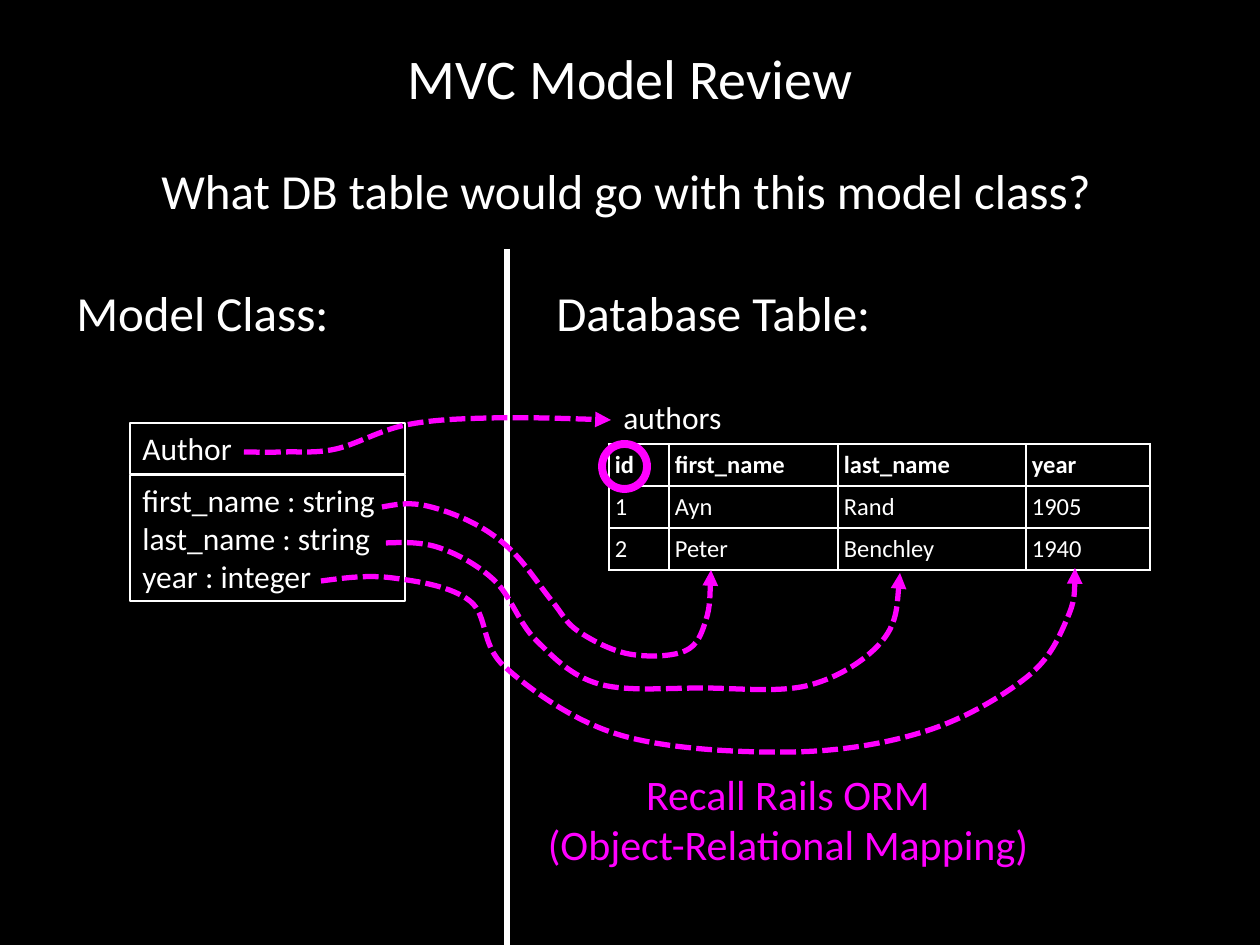
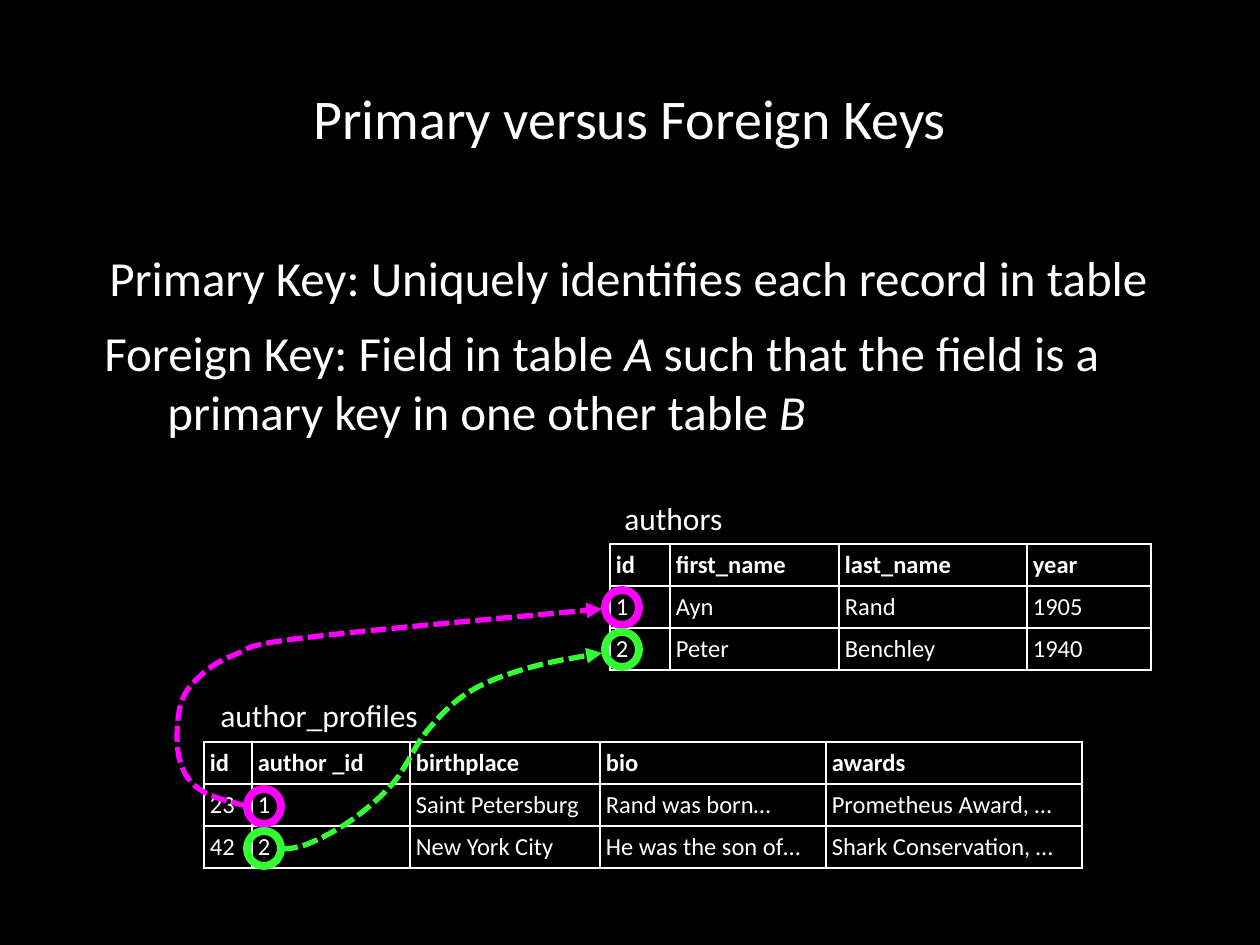
import pptx
import pptx.dml.color
import pptx.enum.dml
import pptx.enum.shapes
import pptx.enum.text
import pptx.oxml
import pptx.oxml.ns
import pptx.util
from lxml import etree

COLORS = {"black": "000000", "white": "FFFFFF", "magenta": "FF00FF", "green": "33FF33"}
FONT = "Calibri"
EMU_PER_PX = 914400 / 126
ROW_HEIGHT = 42
AUTHORS_COLUMNS = [60, 169, 188, 124]
AUTHORS_ROWS = [
    ["id", "first_name", "last_name", "year"],
    ["1", "Ayn", "Rand", "1905"],
    ["2", "Peter", "Benchley", "1940"],
]
PROFILES_COLUMNS = [48, 158, 190, 226, 256]
PROFILES_ROWS = [
    ["id", "author _id", "birthplace", "bio", "awards"],
    ["23", "1", "Saint Petersburg", "Rand was born…", "Prometheus Award, …"],
    ["42", "2", "New York City", "He was the son of…", "Shark Conservation, …"],
]


def px(length):
    return pptx.util.Emu(round(length * EMU_PER_PX))


def rgb(name):
    return pptx.dml.color.RGBColor.from_string(COLORS[name])


def qn(tag):
    return pptx.oxml.ns.qn(tag)


def curve_points(anchors, sharp_end):
    def tangent(index):
        before, after = anchors[index - 1], anchors[index + 1]
        return [(b - a) / 6 for a, b in zip(before, after)]

    last = len(anchors) - 1
    points = []
    for index in range(last):
        start, end = anchors[index], anchors[index + 1]
        leave = arrive = None
        if index > 0:
            leave = [a + t for a, t in zip(start, tangent(index))]
        if index + 1 < last:
            arrive = [a - t for a, t in zip(end, tangent(index + 1))]
        elif sharp_end:
            arrive = end
        leave = leave or [(a + b) / 2 for a, b in zip(start, arrive)]
        arrive = arrive or [(a + b) / 2 for a, b in zip(leave, end)]
        points += [leave, arrive, end]
    return points


class Deck:
    def __init__(self):
        self.presentation = pptx.Presentation()
        self.presentation.slide_width = px(1260)
        self.presentation.slide_height = px(945)
        self.slide = None

    def new_slide(self):
        self.slide = self.presentation.slides.add_slide(self.presentation.slide_layouts[6])
        background = self.slide.background.fill
        background.solid()
        background.fore_color.rgb = rgb("black")

    def run(self, paragraph, text, size, color="white", bold=False, italic=False):
        run = paragraph.add_run()
        run.text = text
        run.font.name = FONT
        run.font.size = pptx.util.Pt(size)
        run.font.bold = bold
        run.font.italic = italic
        run.font.color.rgb = rgb(color)

    def title(self, text, top, height):
        shape = self.slide.shapes.add_textbox(px(63), px(top), px(1134), px(height))
        frame = shape.text_frame
        frame.word_wrap = True
        frame.vertical_anchor = pptx.enum.text.MSO_ANCHOR.MIDDLE
        frame.paragraphs[0].alignment = pptx.enum.text.PP_ALIGN.CENTER
        self.run(frame.paragraphs[0], text, 32)

    def text(self, box, lines, size, color="white", wrap=False, centered=False):
        shape = self.slide.shapes.add_textbox(*map(px, box))
        frame = shape.text_frame
        frame.word_wrap = wrap
        frame.auto_size = pptx.enum.text.MSO_AUTO_SIZE.SHAPE_TO_FIT_TEXT
        paragraph = frame.paragraphs[0]
        if centered:
            paragraph.alignment = pptx.enum.text.PP_ALIGN.CENTER
        for index, line in enumerate(lines):
            if index:
                paragraph.add_line_break()
            self.run(paragraph, line, size, color)

    def definition(self, box, pieces, size, indent):
        shape = self.slide.shapes.add_textbox(*map(px, box))
        shape.text_frame.word_wrap = True
        paragraph = shape.text_frame.paragraphs[0]
        properties = paragraph._p.get_or_add_pPr()
        properties.set("marL", str(px(indent)))
        properties.set("indent", str(-px(indent)))
        for text, italic in pieces:
            self.run(paragraph, text, size, italic=italic)

    def outline(self, shape, color, width):
        shape.shadow.inherit = False
        shape.fill.background()
        shape.line.color.rgb = rgb(color)
        shape.line.width = pptx.util.Pt(width)

    def class_box(self, box, lines):
        rectangle = pptx.enum.shapes.MSO_SHAPE.RECTANGLE
        shape = self.slide.shapes.add_shape(rectangle, *map(px, box))
        self.outline(shape, "white", 1.5)
        frame = shape.text_frame
        frame.word_wrap = True
        frame.vertical_anchor = pptx.enum.text.MSO_ANCHOR.TOP
        for index, line in enumerate(lines):
            paragraph = frame.add_paragraph() if index else frame.paragraphs[0]
            paragraph.alignment = pptx.enum.text.PP_ALIGN.LEFT
            self.run(paragraph, line, 18)

    def ring(self, left, top, width, height, color):
        oval = pptx.enum.shapes.MSO_SHAPE.OVAL
        shape = self.slide.shapes.add_shape(oval, px(left), px(top), px(width), px(height))
        self.outline(shape, color, 4.5)

    def divider(self, x, top, bottom):
        straight = pptx.enum.shapes.MSO_CONNECTOR.STRAIGHT
        line = self.slide.shapes.add_connector(straight, px(x), px(top), px(x), px(bottom))
        line.line.color.rgb = rgb("white")
        line.line.width = pptx.util.Pt(3)
        etree.SubElement(line.element.spPr, qn("a:effectLst"))

    def curved_arrow(self, anchors, color, sharp_end=True):
        builder = self.slide.shapes.build_freeform(*map(px, anchors[0]))
        points = curve_points(anchors, sharp_end)
        builder.add_line_segments([(px(x), px(y)) for x, y in points], close=False)
        shape = builder.convert_to_shape()
        segments = list(shape.element.iter(qn("a:lnTo")))
        outline = segments[0].getparent()
        for first in range(0, len(segments), 3):
            curve = etree.SubElement(outline, qn("a:cubicBezTo"))
            for segment in segments[first:first + 3]:
                curve.append(segment[0])
                outline.remove(segment)
        self.outline(shape, color, 3)
        shape.line.dash_style = pptx.enum.dml.MSO_LINE.SQUARE_DOT
        line = shape.element.spPr.find(qn("a:ln"))
        etree.SubElement(line, qn("a:tailEnd"), type="triangle")

    def cell_borders(self, cell):
        properties = cell._tc.get_or_add_tcPr()
        for side in ("a:lnL", "a:lnR", "a:lnT", "a:lnB"):
            border = etree.SubElement(properties, qn(side), w=str(pptx.util.Pt(1.08)))
            fill = etree.SubElement(border, qn("a:solidFill"))
            etree.SubElement(fill, qn("a:srgbClr"), val=COLORS["white"])

    def table(self, left, top, columns, rows):
        size = px(sum(columns)), px(ROW_HEIGHT * len(rows))
        frame = self.slide.shapes.add_table(len(rows), len(columns), px(left), px(top), *size)
        table = frame.table
        table.horz_banding = False
        for column, width in zip(table.columns, columns):
            column.width = px(width)
        for row_index, values in enumerate(rows):
            table.rows[row_index].height = px(ROW_HEIGHT)
            for column_index, value in enumerate(values):
                cell = table.cell(row_index, column_index)
                cell.margin_left = cell.margin_right = px(6)
                cell.margin_top = cell.margin_bottom = px(6)
                self.cell_borders(cell)
                cell.fill.solid()
                cell.fill.fore_color.rgb = rgb("black")
                self.run(cell.text_frame.paragraphs[0], value, 14, bold=row_index == 0)


def model_review(deck):
    deck.new_slide()
    deck.title("MVC Model Review", 1, 152)
    question = "What DB table would go with this model class?"
    deck.text((149, 154, 973, 72), [question], 28, wrap=True)
    deck.table(609, 444, AUTHORS_COLUMNS, AUTHORS_ROWS)
    deck.text((611, 392, 123, 50), ["authors"], 18)
    deck.class_box((130, 475, 275, 126),
                   ["first_name : string", "last_name : string", "year : integer"])
    deck.class_box((130, 423, 275, 51), ["Author"])
    deck.text((64, 276, 277, 72), ["Model Class:"], 28, centered=True)
    deck.text((544, 276, 344, 72), ["Database Table:"], 28)
    deck.divider(507, 249, 945)
    last_name = [(386, 543), (440, 548), (495, 581), (536, 640), (599, 684),
                 (704, 688), (810, 685), (883, 640), (900, 573)]
    year = [(321, 581), (393, 578), (470, 601), (505, 667), (620, 735),
            (790, 752), (926, 731), (1027, 677), (1067, 619), (1075, 568)]
    author = [(244, 452), (285, 452), (336, 449), (406, 425), (491, 418), (611, 420)]
    first_name = [(382, 507), (422, 505), (473, 523), (513, 552), (552, 601),
                  (578, 631), (629, 654), (685, 651), (706, 620), (711, 570)]
    deck.curved_arrow(last_name, "magenta")
    deck.curved_arrow(year, "magenta", sharp_end=False)
    deck.curved_arrow(author, "magenta", sharp_end=False)
    deck.curved_arrow(first_name, "magenta")
    deck.ring(602, 444, 45, 45, "magenta")
    deck.text((534, 762, 508, 113), ["Recall Rails ORM", "(Object-Relational Mapping)"],
              24, "magenta", centered=True)


def keys(deck):
    deck.new_slide()
    deck.table(610, 544, AUTHORS_COLUMNS, AUTHORS_ROWS)
    deck.text((612, 493, 123, 50), ["authors"], 18)
    deck.table(204, 742, PROFILES_COLUMNS, PROFILES_ROWS)
    deck.text((208, 690, 223, 50), ["author_profiles"], 18)
    deck.title("Primary versus Foreign Keys", 38, 158)
    primary = "Primary Key: Uniquely identifies each record in table"
    deck.text((97, 241, 1067, 72), [primary], 28)
    foreign = [
        ("Foreign Key: Field in table ", False),
        ("A", True),
        (" such that the field is a primary key in one other table ", False),
        ("B", True),
    ]
    deck.definition((92, 316, 1105, 131), foreign, 28, 63)
    for row, color in enumerate(("magenta", "green")):
        for left, top in ((247, 789), (605, 590)):
            deck.ring(left, top + row * ROW_HEIGHT, 34, 35, color)
    first_author = [(247, 806), (199, 789), (179, 757), (180, 707),
                    (198, 678), (234, 655), (302, 638), (602, 609)]
    second_author = [(282, 849), (310, 843), (353, 819), (394, 782),
                     (427, 731), (469, 692), (528, 668), (602, 653)]
    deck.curved_arrow(first_author, "magenta")
    deck.curved_arrow(second_author, "green")


def main():
    deck = Deck()
    model_review(deck)
    keys(deck)
    deck.presentation.save("out.pptx")


if __name__ == "__main__":
    main()
